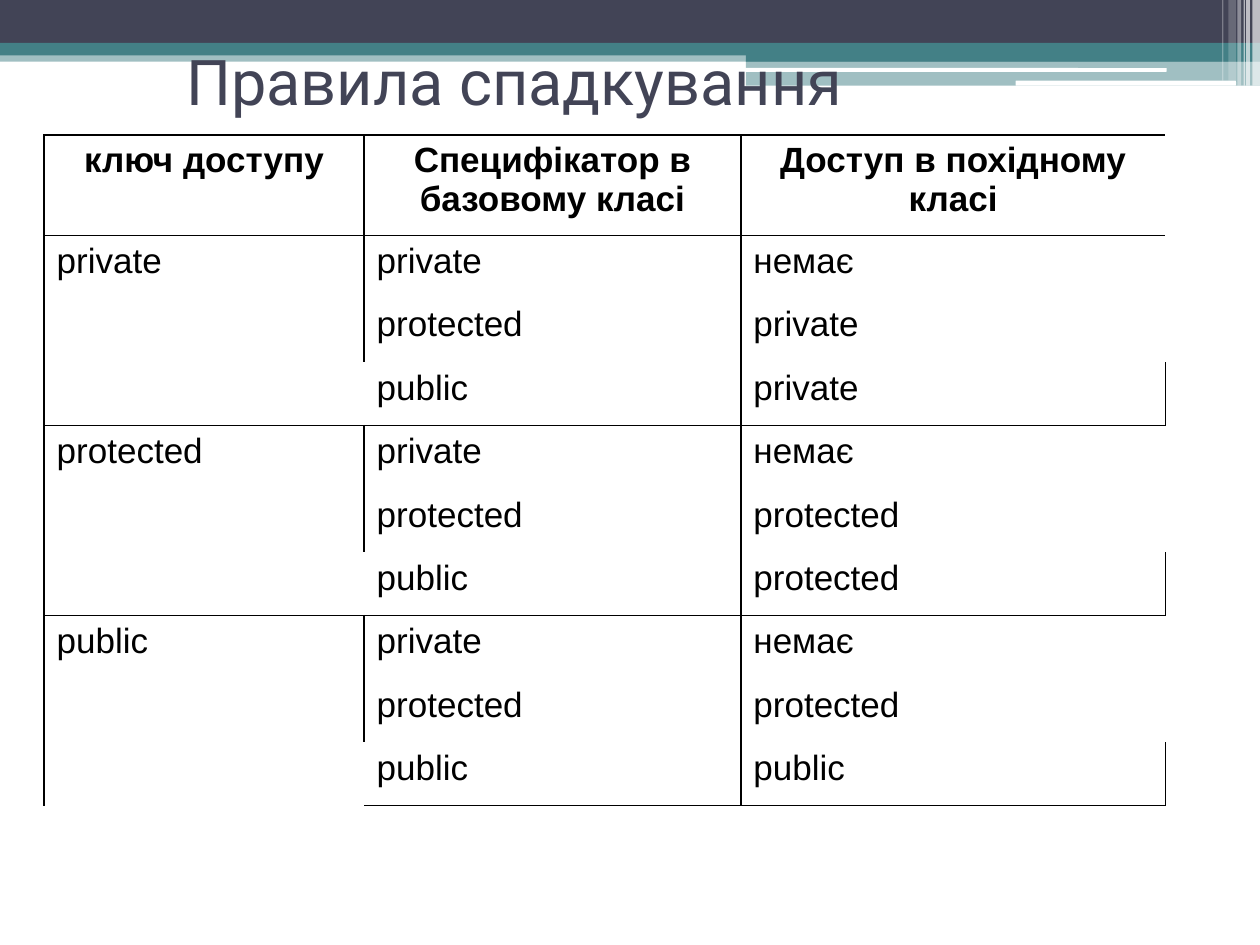
from lxml import etree
from pptx import Presentation
from pptx import util as u
from pptx.dml.color import RGBColor
from pptx.enum import shapes, text
from pptx.oxml.ns import qn

COLORS = {"navy": "424456", "teal": "438086", "white": "FFFFFF", "black": "000000"}

deck = Presentation()
deck.slide_width, deck.slide_height = u.Inches(10), u.Inches(7.5)
page = deck.slides.add_slide(deck.slide_layouts[6])
CELL = deck.slide_width / 100


def grid(*counts):
    return [round(count * CELL) for count in counts]


def style(span, font, size, color, bold=False):
    span.font.name, span.font.size, span.font.bold = font, u.Pt(size), bold
    span.font.color.rgb = RGBColor.from_string(COLORS[color])


RECT = shapes.MSO_SHAPE.RECTANGLE
ROUND = shapes.MSO_SHAPE.ROUNDED_RECTANGLE
bands = [
    (RECT, 0, 4, 100, 0.9, "teal", 50),
    (RECT, 0, 0, 100, 3.4, "navy", 100),
    (RECT, 0, 3.4, 100, 1, "teal", 100),
    (RECT, 59.2, 3.9, 40.8, 1, "teal", 100),
    (RECT, 59.2, 4.8, 40.8, 2, "teal", 50),
    (ROUND, 59.1, 5.4, 33.5, 0.3, "white", 100),
    (ROUND, 80.6, 6.4, 17.5, 0.4, "white", 100),
]
stripes = [
    (99.4, 0.6, 6.8, 65), (98.9, 0.3, 6.8, 65), (98.7, 0.1, 6.8, 60),
    (98.2, 0.3, 6.8, 40), (97.5, 0.6, 6.4, 20), (97, 0.1, 6.4, 30),
]
bands += [(RECT, left, 0, width, height, "white", opacity)
          for left, width, height, opacity in stripes]

for kind, left, top, width, height, color, opacity in bands:
    band = page.shapes.add_shape(kind, *grid(left, top, width, height))
    band.shadow.inherit = False
    band.line.fill.background()
    band.fill.solid()
    band.fill.fore_color.rgb = RGBColor.from_string(COLORS[color])
    if opacity < 100:
        tint = band.fill._xPr.find(qn("a:solidFill"))[0]
        etree.SubElement(tint, qn("a:alpha"), val=str(opacity * 1000))

title = page.shapes.add_textbox(*grid(13.8, 2.9, 89.3, 7))
title.text_frame.word_wrap = True
title.text_frame.vertical_anchor = text.MSO_ANCHOR.MIDDLE
title.text_frame.text = "Правила спадкування"
style(title.text_frame.paragraphs[0].runs[0], "Roboto", 36, "navy")

levels = ["private", "protected", "public"]
access = {
    "private": ["немає", "private", "private"],
    "protected": ["немає", "protected", "protected"],
    "public": ["немає", "protected", "public"],
}
rows = [["ключ доступу", "Специфікатор в базовому класі", "Доступ в похідному класі"]]
for key in levels:
    for step, level in enumerate(levels):
        rows.append(["" if step else key, level, access[key][step]])

table = page.shapes.add_table(len(rows), 3, *grid(3.5, 10.7, 89, 53.3)).table
table.first_row = table.horz_banding = False
for column, width in zip(table.columns, grid(25.4, 29.9, 33.7)):
    column.width = width
for row, height in zip(table.rows, grid(8, *[5.03] * 9)):
    row.height = height
for first in (1, 4, 7):
    table.cell(first, 0).merge(table.cell(first + 2, 0))

ruled_rows = {0, 1, 4, 7, 10}
for r, words in enumerate(rows):
    group_end = r > 0 and r % 3 == 0
    upright = [True, not group_end, True, group_end]
    for c, word in enumerate(words):
        cell = table.cell(r, c)
        cell.fill.background()
        if word:
            cell.text_frame.text = word
            para = cell.text_frame.paragraphs[0]
            para.alignment = text.PP_ALIGN.JUSTIFY if r else text.PP_ALIGN.CENTER
            style(para.runs[0], "Arial", 20, "black", bold=r == 0)
        sides = {"a:lnL": upright[c], "a:lnR": upright[c + 1],
                 "a:lnT": r in ruled_rows, "a:lnB": r + 1 in ruled_rows}
        properties = cell._tc.get_or_add_tcPr()
        for index, (side, drawn) in enumerate(sides.items()):
            border = etree.Element(qn(side), w=str(u.Pt(1)))
            properties.insert(index, border)
            if drawn:
                paint = etree.SubElement(border, qn("a:solidFill"))
                etree.SubElement(paint, qn("a:srgbClr"), val=COLORS["black"])
            else:
                etree.SubElement(border, qn("a:noFill"))

deck.save("out.pptx")
